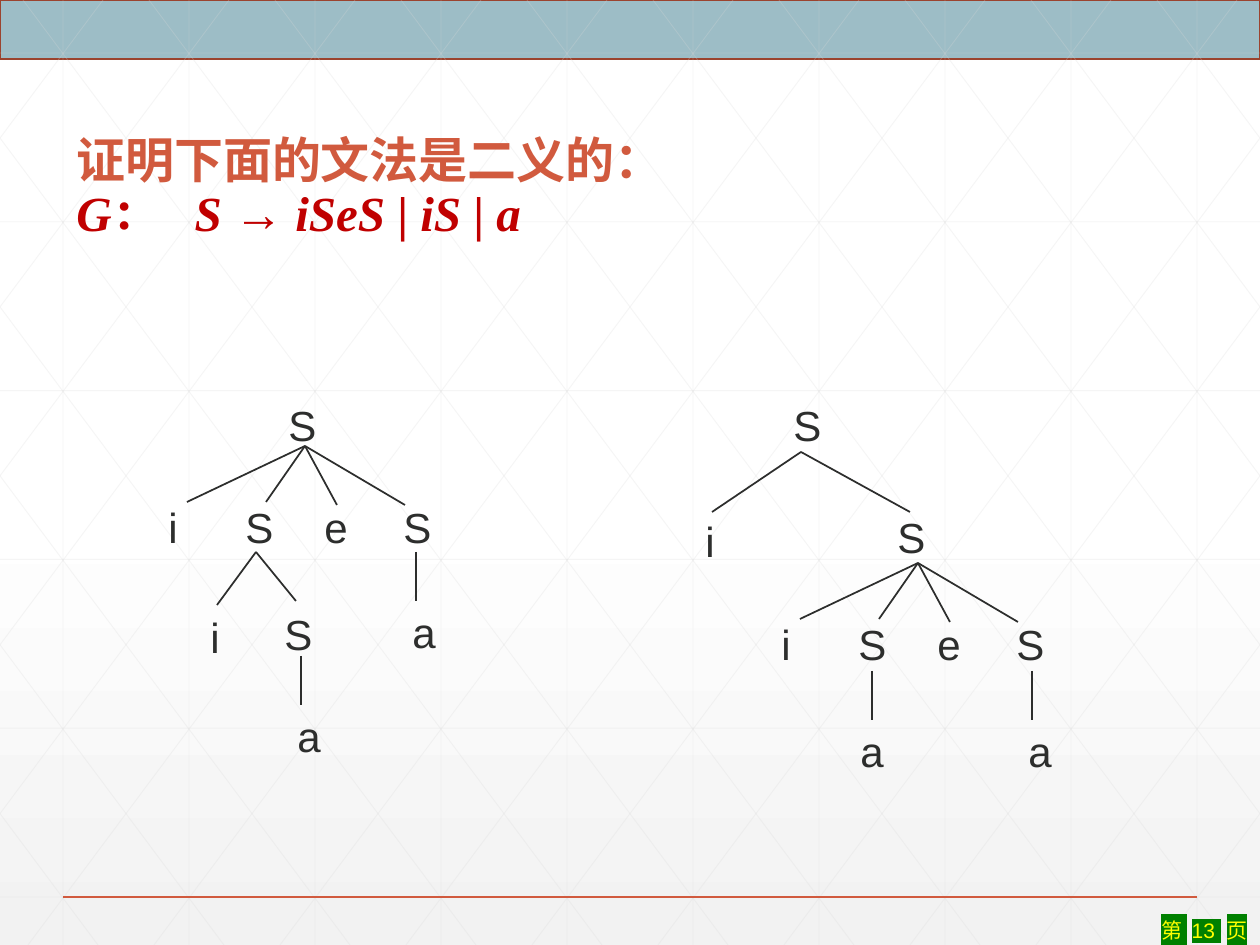
from copy import deepcopy
from dataclasses import dataclass

from lxml import etree
from pptx import Presentation
from pptx import util as u
from pptx.dml import color
from pptx.enum import lang, shapes, text
from pptx.oxml import ns

PX = 914400 / 126
WIDTH, HEIGHT = 1260, 945


@dataclass(frozen=True)
class Theme:
    ink: str = "2D2E2D"
    accent: str = "D15A3E"
    formula: str = "C00000"
    band: str = "9DBDC6"
    band_edge: str = "9B432E"
    grid: str = "D9D9D9"
    paper: str = "FFFFFF"
    paper_end: str = "F2F2F2"
    page_ink: str = "FFFF00"
    page_mark: str = "008000"
    title_size: int = 28
    node_size: int = 24
    page_size: int = 12
    sans: str = "Arial"
    serif: str = "Times New Roman"
    chinese: str = "Noto Sans CJK SC"


THEME = Theme()
LETTER_WIDTH = {"S": 53, "i": 35, "e": 49, "a": 49}


def px(value):
    return u.Emu(round(value * PX))


def rgb(value):
    return color.RGBColor.from_string(value)


def apply(target, formats):
    for name, value in formats.items():
        setattr(target, name, value)


def add_child(parent, tag, **attributes):
    return etree.SubElement(parent, ns.qn(tag), attributes)


def add_line(slide, start, end, ink=THEME.ink, width=1, alpha=None):
    line = slide.shapes.add_connector(
        shapes.MSO_CONNECTOR.STRAIGHT, *map(px, (*start, *end)))
    line.line.color.rgb = rgb(ink)
    line.line.width = u.Pt(width)
    if alpha:
        tint = line.line.fill.fore_color
        srgb = line.line._ln.find(".//" + ns.qn("a:srgbClr"))
        add_child(srgb, "a:alpha", val=str(alpha * 1000))
    add_child(line._element.spPr, "a:effectLst")


def add_text_box(slide, box, **frame_formats):
    frame = slide.shapes.add_textbox(*map(px, box)).text_frame
    apply(frame, frame_formats)
    return frame.paragraphs[0]


def add_run(paragraph, words, ink, face, east=None, mark=None, spacing=None,
            **font_formats):
    run = paragraph.add_run()
    run.text = words
    apply(run.font, font_formats)
    run.font.color.rgb = rgb(ink)
    props = run.font._element
    if mark:
        highlight = add_child(props, "a:highlight")
        add_child(highlight, "a:srgbClr", val=mark)
    if spacing:
        props.set("spc", str(spacing))
    add_child(props, "a:latin", typeface=face)
    add_child(props, "a:ea", typeface=east or face)


def add_backdrop(slide):
    # Paper shading
    fill = slide.background.fill
    fill.gradient()
    fill.gradient_angle = 270
    first = fill.gradient_stops[0]._gs
    first.addnext(deepcopy(first))
    shades = (0, THEME.paper), (0.53, THEME.paper), (1, THEME.paper_end)
    for stop, (position, shade) in zip(fill.gradient_stops, shades):
        stop.position = position
        stop.color.rgb = rgb(shade)

    # Top band
    band = slide.shapes.add_shape(
        shapes.MSO_SHAPE.RECTANGLE, 0, 0, px(WIDTH), px(59))
    band.shadow.inherit = False
    band.fill.solid()
    band.fill.fore_color.rgb = rgb(THEME.band)
    band.line.color.rgb = rgb(THEME.band_edge)
    band.line.width = u.Pt(1)


def add_grid(slide):
    def grid_line(start, end):
        add_line(slide, start, end, THEME.grid, 0.5, 25)

    for column in range(10):
        x = 63 + 126 * column
        grid_line((x, 0), (x, HEIGHT))
    for row in range(6):
        y = 53 + 168.8 * row
        grid_line((0, y), (WIDTH, y))

    # Diagonals, cut at the slide edges, each with its mirror image
    run = 705
    for step in range(-5, 10):
        top = 23 + 126 * step
        left, right = max(0, top), min(WIDTH, top + run)
        y_left, y_right = ((x - top) * HEIGHT / run for x in (left, right))
        grid_line((left, y_left), (right, y_right))
        grid_line((WIDTH - left, y_left), (WIDTH - right, y_right))


def add_title(slide):
    title = add_text_box(slide, (64, 141, 993, 96), word_wrap=True,
                         vertical_anchor=text.MSO_ANCHOR.MIDDLE)
    title.line_spacing = 0.9
    bold = {"size": u.Pt(THEME.title_size), "bold": True}
    add_run(title, "证明下面的文法是二义的：", THEME.accent, THEME.chinese,
            language_id=lang.MSO_LANGUAGE_ID.SIMPLIFIED_CHINESE, **bold)
    title.add_line_break()
    # (words, italic, letter spacing in hundredths of a point)
    grammar = (("G", True, None), ("：", False, None), (" ", False, 1250),
               ("S ", True, None), ("→ ", False, None), ("iSeS ", True, None),
               ("| ", False, None), ("iS", True, None), (" | ", False, None),
               ("a", True, None))
    for words, italic, spacing in grammar:
        add_run(title, words, THEME.formula, THEME.serif, spacing=spacing,
                italic=italic, **bold)


def add_node(slide, letter, left, top):
    node = add_text_box(slide, (left, top, LETTER_WIDTH[letter], 63),
                        word_wrap=False,
                        auto_size=text.MSO_AUTO_SIZE.SHAPE_TO_FIT_TEXT)
    add_run(node, letter, THEME.ink, THEME.sans, size=u.Pt(THEME.node_size))


def add_branches(slide, apex, children):
    """Children are (letter, left, top, edge end), all relative to the apex."""
    x, y = apex
    for letter, left, top, (end_x, end_y) in children:
        add_line(slide, apex, (x + end_x, y + end_y))
        add_node(slide, letter, x + left, y + top)


def add_trees(slide):
    if_else = (("i", -149, 49, (-118, 56)), ("S", -72, 49, (-39, 56)),
               ("e", 7, 49, (32, 59)), ("S", 86, 49, (100, 59)))
    narrow_if = ("i", -58, 53, (-39, 53)), ("S", 16, 50, (40, 49))
    wide_if = ("i", -108, 57, (-89, 60)), ("S", 84, 53, (109, 60))
    leaf = (("a", -16, 48, (0, 49)),)
    shifted_leaf = (("a", -24, 48, (0, 49)),)

    # Roots
    for left in (276, 781):
        add_node(slide, "S", left, 393)

    # Left tree: else belongs to the outer i
    for apex, children in (((305, 446), if_else), ((256, 552), narrow_if),
                           ((301, 656), leaf), ((416, 552), leaf)):
        add_branches(slide, apex, children)

    # Right tree: else belongs to the inner i
    for apex, children in (((801, 452), wide_if), ((918, 563), if_else),
                           ((872, 671), shifted_leaf), ((1032, 671), leaf)):
        add_branches(slide, apex, children)


def add_footer(slide):
    add_line(slide, (63, 897), (1197, 897), THEME.accent)
    page = add_text_box(slide, (1130, 915, 130, 30), word_wrap=True,
                        vertical_anchor=text.MSO_ANCHOR.MIDDLE)
    page.alignment = text.PP_ALIGN.RIGHT
    for words in ("第 ", " ", "13 ", " ", "页"):
        add_run(page, words, THEME.page_ink, THEME.sans, THEME.chinese,
                mark=THEME.page_mark if words.strip() else None,
                size=u.Pt(THEME.page_size))


def main():
    deck = Presentation()
    apply(deck, {"slide_width": px(WIDTH), "slide_height": px(HEIGHT)})
    slide = deck.slides.add_slide(deck.slide_layouts[6])
    for add_part in (add_backdrop, add_grid, add_footer, add_title, add_trees):
        add_part(slide)
    deck.save("out.pptx")


if __name__ == "__main__":
    main()
